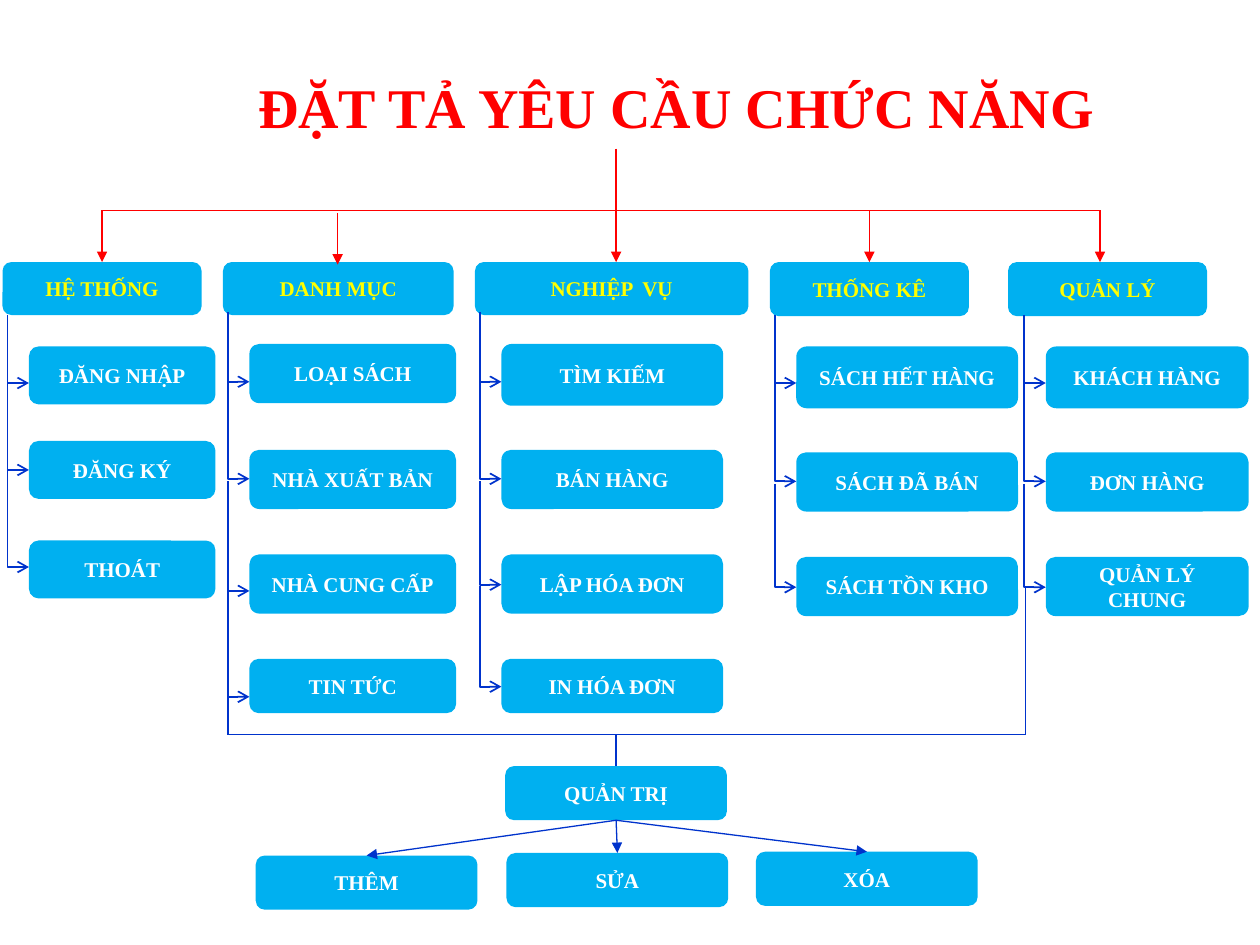
from pptx import Presentation
from pptx.dml.color import RGBColor
from pptx.enum.shapes import MSO_CONNECTOR, MSO_SHAPE
from pptx.enum.text import MSO_ANCHOR, PP_ALIGN
from pptx.oxml.ns import qn
from pptx.util import Inches, Pt
from lxml import etree

STRAIGHT, ELBOW = MSO_CONNECTOR.STRAIGHT, MSO_CONNECTOR.ELBOW
ROUNDED = MSO_SHAPE.ROUNDED_RECTANGLE
MIDDLE = MSO_ANCHOR.MIDDLE
LEFT, CENTER = PP_ALIGN.LEFT, PP_ALIGN.CENTER

RED = RGBColor(0xFF, 0x00, 0x00)
YELLOW = RGBColor(0xFF, 0xFF, 0x00)
WHITE = RGBColor(0xFF, 0xFF, 0xFF)
SKY = RGBColor(0x00, 0xB0, 0xF0)
BLUE = RGBColor(0x00, 0x33, 0xCC)
FONT = "Times New Roman"

HEADER_TOP = 2.08
SPINE_GAP = 0.17
BUS_TOP = 1.67
TRUNK = 4.89

COLUMNS = [
    ("HỆ THỐNG", 0.02, 1.58, 0.42, 0.21, 1.48, [
        ("ĐĂNG NHẬP", 0.67, 0.46, 0.42, 0.96),
        ("ĐĂNG KÝ", 1.42, 0.46, 0.92, 1.65),
        ("THOÁT", 2.21, 0.46, 1.54, 2.42)]),
    ("DANH MỤC", 1.77, 1.83, 0.42, 0.21, 1.64, [
        ("LOẠI SÁCH", 0.65, 0.47, 0.4, 0.95),
        ("NHÀ XUẤT BẢN", 1.49, 0.47, 0.9, 1.72),
        ("NHÀ CUNG CẤP", 2.32, 0.47, 1.74, 2.61),
        ("TIN TỨC", 3.15, 0.43, 2.57, 3.45)]),
    ("NGHIỆP  VỤ", 3.77, 2.17, 0.42, 0.21, 1.76, [
        ("TÌM KIẾM", 0.65, 0.49, 0.4, 0.95),
        ("BÁN HÀNG", 1.49, 0.47, 0.9, 1.72),
        ("LẬP HÓA ĐƠN", 2.32, 0.47, 1.74, 2.56),
        ("IN HÓA ĐƠN", 3.15, 0.43, 2.57, 3.37)]),
    ("THỐNG KÊ", 6.11, 1.58, 0.43, 0.21, 1.76, [
        ("SÁCH HẾT HÀNG", 0.67, 0.49, 0.42, 0.96),
        ("SÁCH ĐÃ BÁN", 1.51, 0.47, 0.92, 1.74),
        ("SÁCH TỒN KHO", 2.34, 0.47, 1.76, 2.58)]),
    ("QUẢN LÝ", 8, 1.58, 0.43, 0.3, 1.61, [
        ("KHÁCH HÀNG", 0.67, 0.49, 0.42, 0.96),
        ("ĐƠN HÀNG", 1.51, 0.47, 0.92, 1.74),
        ("QUẢN LÝ CHUNG", 2.34, 0.47, 1.76, 2.58)]),
]
ACTIONS = [("THÊM", 0, 0.71), ("SỬA", 1.99, 0.69), ("XÓA", 3.97, 0.68)]


def write_text(shape, text, size, color, alignment):
    frame = shape.text_frame
    frame.word_wrap = True
    frame.vertical_anchor = MIDDLE
    paragraph = frame.paragraphs[0]
    paragraph.alignment = alignment
    run = paragraph.add_run()
    run.text = text
    run.font.name = FONT
    run.font.size = Pt(size)
    run.font.bold = True
    run.font.color.rgb = color


def add_box(slide, text, left, top, width, height, color=WHITE):
    shape = slide.shapes.add_shape(
        ROUNDED, Inches(left), Inches(top), Inches(width), Inches(height))
    shape.shadow.inherit = False
    shape.fill.solid()
    shape.fill.fore_color.rgb = SKY
    shape.line.fill.background()
    write_text(shape, text, 12, color, CENTER)


def add_line(slide, start, end, color, arrow=None, kind=STRAIGHT, weight=0.75):
    connector = slide.shapes.add_connector(
        kind, *[Inches(value) for value in (*start, *end)])
    connector.line.color.rgb = color
    connector.line.width = Pt(weight)
    properties = connector._element.spPr
    if arrow:
        etree.SubElement(properties.find(qn("a:ln")), qn("a:tailEnd"), type=arrow)
    etree.SubElement(properties, qn("a:effectLst"))
    return connector


def add_branch(slide, left, top, width, height):
    center_x, center_y = left + width / 2, top + height / 2
    connector = add_line(
        slide, (center_x - height / 2, center_y - width / 2),
        (center_x + height / 2, center_y + width / 2), BLUE, "arrow", ELBOW, 1)
    properties = connector._element.spPr
    properties.find(qn("a:prstGeom")).set("prst", "bentConnector2")
    transform = properties.find(qn("a:xfrm"))
    transform.set("rot", "16200000")
    transform.set("flipH", "1")


def add_title(slide, left, top, width, height):
    title = slide.shapes.add_textbox(
        Inches(left), Inches(top), Inches(width), Inches(height))
    write_text(title, "ĐẶT TẢ YÊU CẦU CHỨC NĂNG", 32, RED, LEFT)


def add_column(slide, top, name, left, width, height, indent, item_width, items):
    add_box(slide, name, left, top, width, height, YELLOW)
    item_left = left + indent
    for text, offset, item_height, start, end in items:
        add_box(slide, text, item_left, top + offset, item_width, item_height)
        add_branch(slide, item_left - SPINE_GAP, top + start, SPINE_GAP, end - start)


def add_header_bus(slide, left, top, right):
    add_line(slide, (TRUNK, 1.18), (TRUNK, top), RED)
    add_line(slide, (left, top), (right, top), RED)
    for x, shift in ((left, 0), (2.68, 0.02), (TRUNK, 0), (6.9, 0), (right, 0)):
        add_line(slide, (x, top + shift), (x, HEADER_TOP + shift), RED, "triangle")


def add_admin_bus(slide, left, top, right):
    add_line(slide, (left, 5.53), (left, top), BLUE)
    add_line(slide, (right, 4.67), (right, top), BLUE)
    add_line(slide, (left, top), (right, top), BLUE)
    add_line(slide, (TRUNK, top), (TRUNK, top + 0.25), BLUE)


def add_admin_tree(slide, left, top, width, height):
    add_box(slide, "QUẢN TRỊ", left + 1.98, top, width, height)
    for text, shift, drop in ACTIONS:
        add_box(slide, text, left + shift, top + drop, width, height)
        add_line(slide, (TRUNK, top + height),
                 (left + shift + width / 2, top + drop), BLUE, "triangle")


def main():
    presentation = Presentation()
    presentation.slide_width = Inches(10)
    presentation.slide_height = Inches(7.5)
    slide = presentation.slides.add_slide(presentation.slide_layouts[6])
    add_title(slide, 1.95, 0.33, 7.75, 1.03)
    for column in COLUMNS:
        add_column(slide, HEADER_TOP, *column)
    add_header_bus(slide, 0.81, BUS_TOP, 8.73)
    add_admin_bus(slide, 1.81, 5.83, 8.14)
    add_admin_tree(slide, 2.03, 6.08, 1.76, 0.43)
    presentation.save("out.pptx")


if __name__ == "__main__":
    main()
